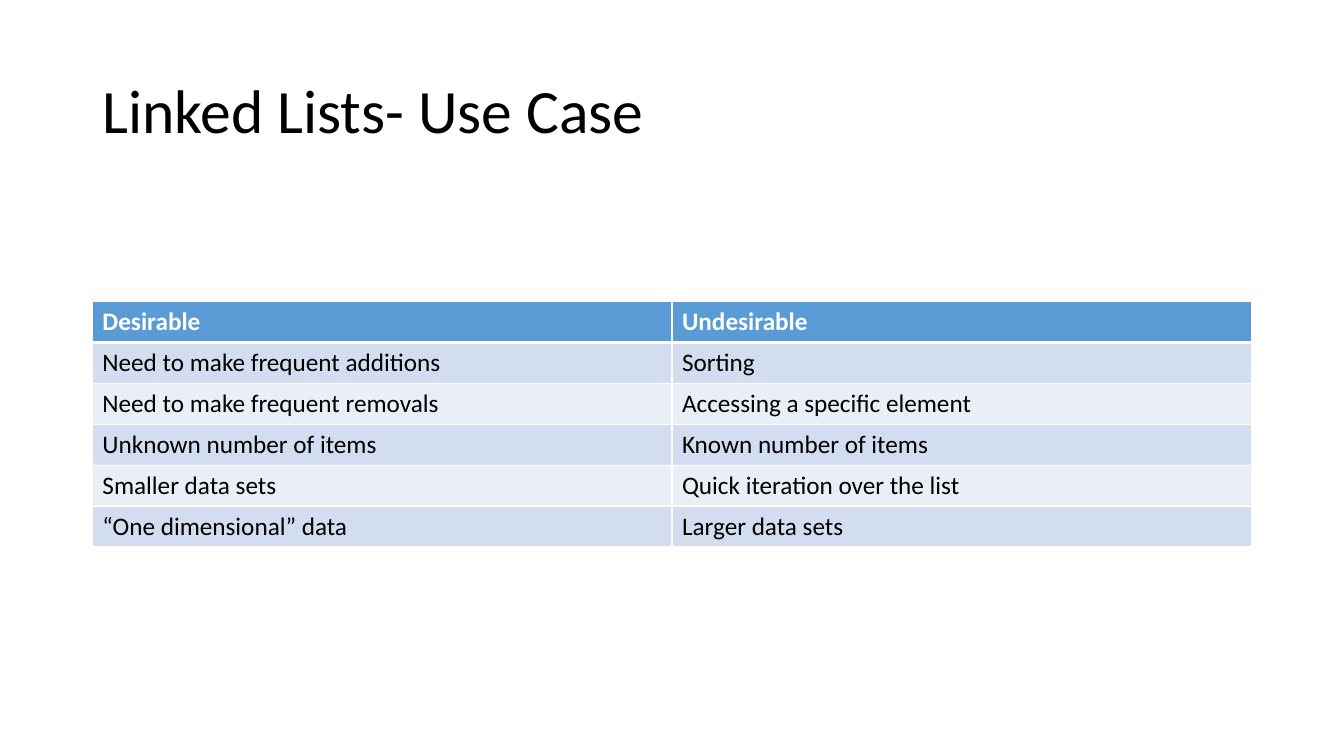
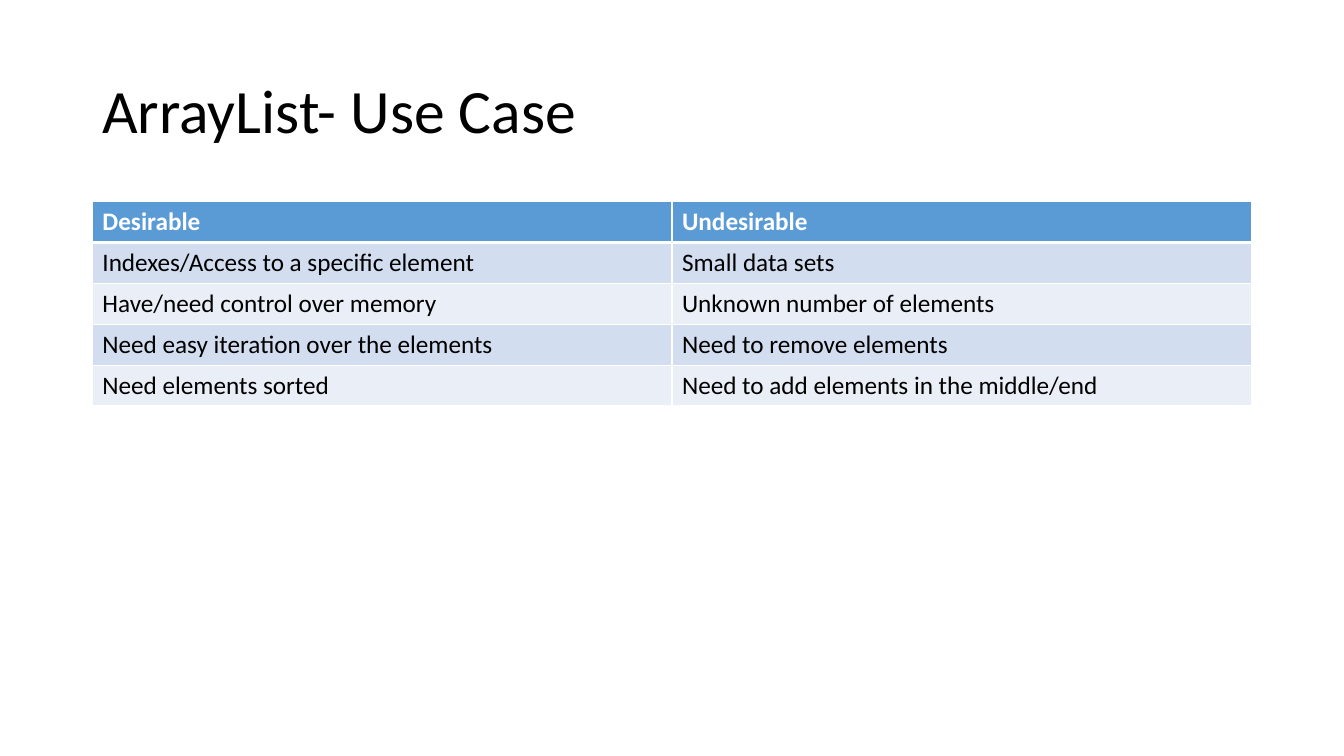
from lxml import etree
from pptx import Presentation
from pptx.dml.color import RGBColor
from pptx.enum import text
from pptx.oxml import ns
from pptx.util import Pt

BLACK = RGBColor(0x00, 0x00, 0x00)
WHITE = RGBColor(0xFF, 0xFF, 0xFF)
HEADER_BLUE = RGBColor(0x5B, 0x9B, 0xD5)
BANDS = [RGBColor(0xEA, 0xEF, 0xF7), RGBColor(0xD2, 0xDE, 0xEF)]
FONT = "Calibri"
LEFT, WIDTH = Pt(66), Pt(828)
ROW_HEIGHT = Pt(29.2)

USE_CASES = [
    ("Linked Lists- Use Case", Pt(215.5), [
        ("Desirable", "Undesirable"),
        ("Need to make frequent additions", "Sorting"),
        ("Need to make frequent removals", "Accessing a specific element"),
        ("Unknown number of items", "Known number of items"),
        ("Smaller data sets", "Quick iteration over the list"),
        ("“One dimensional” data", "Larger data sets"),
    ]),
    ("ArrayList- Use Case", Pt(144), [
        ("Desirable", "Undesirable"),
        ("Indexes/Access to a specific element", "Small data sets"),
        ("Have/need control over memory", "Unknown number of elements"),
        ("Need easy iteration over the elements", "Need to remove elements"),
        ("Need elements sorted", "Need to add elements in the middle/end"),
    ]),
]


def style_text(paragraph, size, color, bold=False):
    for run in paragraph.runs:
        run.font.name = FONT
        run.font.size = Pt(size)
        run.font.bold = bold
        run.font.color.rgb = color


def add_border(cell, side, width):
    properties = cell._tc.get_or_add_tcPr()
    line = etree.SubElement(properties, ns.qn("a:ln" + side), w=str(Pt(width)))
    fill = etree.SubElement(line, ns.qn("a:solidFill"))
    etree.SubElement(fill, ns.qn("a:srgbClr"), val=str(WHITE))


presentation = Presentation()
presentation.slide_width, presentation.slide_height = Pt(960), Pt(540)

for title, table_top, rows in USE_CASES:
    slide = presentation.slides.add_slide(presentation.slide_layouts[6])

    title_box = slide.shapes.add_textbox(LEFT, Pt(28.75), WIDTH, Pt(104.4))
    title_frame = title_box.text_frame
    title_frame.word_wrap = True
    title_frame.vertical_anchor = text.MSO_ANCHOR.MIDDLE
    title_frame.text = title
    title_frame.paragraphs[0].line_spacing = 0.9
    style_text(title_frame.paragraphs[0], 44, BLACK)

    table = slide.shapes.add_table(
        len(rows), 2, LEFT, table_top, WIDTH, ROW_HEIGHT * len(rows)).table
    for row_index, row in enumerate(rows):
        table.rows[row_index].height = ROW_HEIGHT
        is_header = row_index == 0
        for column_index, label in enumerate(row):
            cell = table.cell(row_index, column_index)
            cell.text = label
            style_text(cell.text_frame.paragraphs[0], 18,
                       WHITE if is_header else BLACK, is_header)
            add_border(cell, "L", 1)
            add_border(cell, "R", 1)
            add_border(cell, "T", 3 if row_index == 1 else 1)
            add_border(cell, "B", 3 if is_header else 1)
            cell.fill.solid()
            cell.fill.fore_color.rgb = HEADER_BLUE if is_header else BANDS[row_index % 2]

presentation.save("out.pptx")
